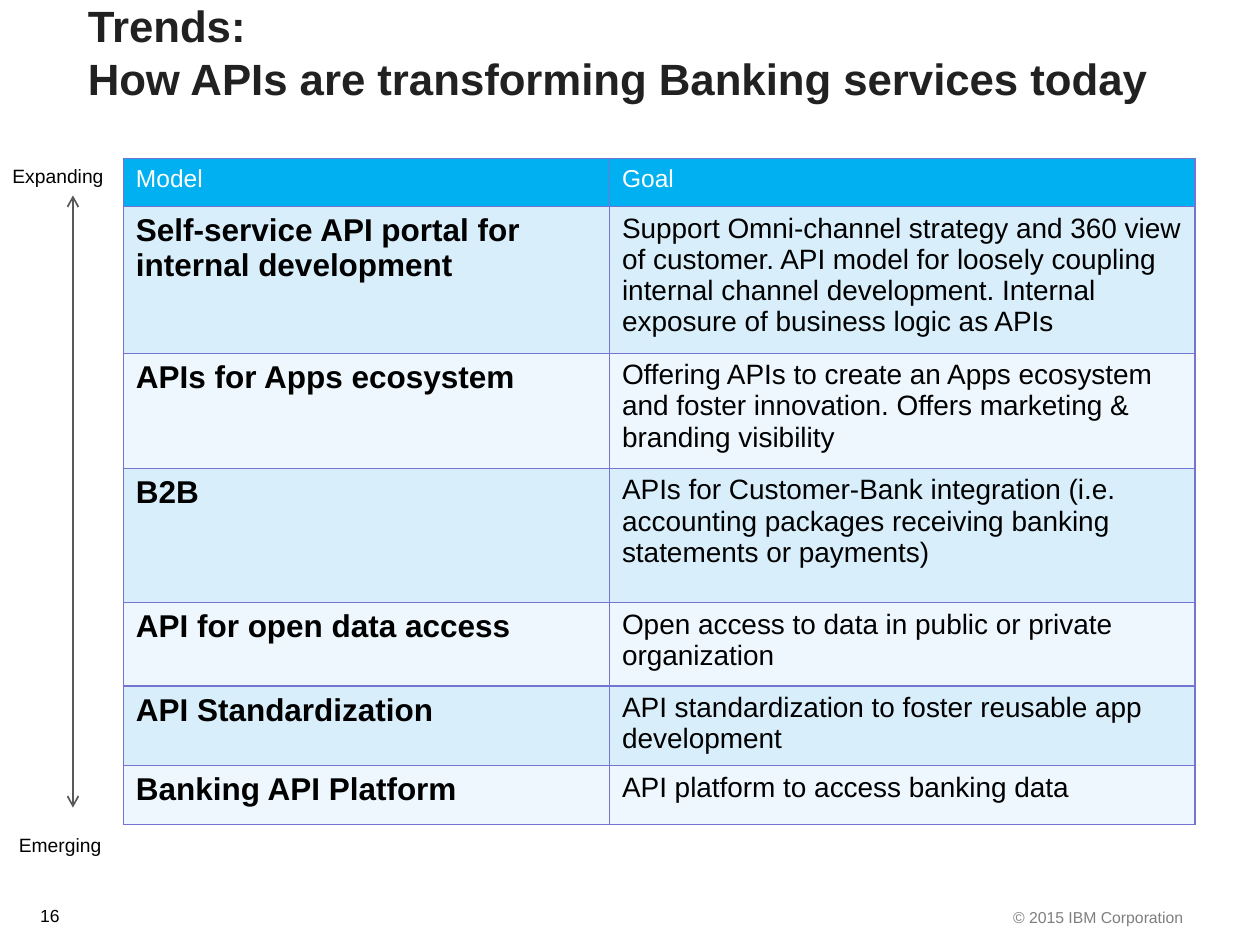
from dataclasses import dataclass
from lxml.etree import SubElement
from pptx import Presentation
from pptx.dml.color import RGBColor
from pptx.enum.shapes import MSO_CONNECTOR
from pptx.enum.text import MSO_ANCHOR, PP_ALIGN
from pptx.oxml import parse_xml
from pptx.oxml.ns import nsdecls, qn
from pptx.util import Cm, Pt


@dataclass(frozen=True)
class Theme:
    font: str = "Arial"
    title: str = "212121"
    text: str = "000000"
    muted: str = "7F7F7F"
    header_text: str = "FFFFFF"
    header_fill: str = "00B0F0"
    bands: tuple = ("D9EEFB", "EDF7FD")
    border: str = "7575D1"
    arrow: str = "595959"
    title_pt: int = 25
    model_pt: int = 18
    goal_pt: int = 16
    header_pt: int = 14
    label_pt: int = 11
    number_pt: int = 10
    footer_pt: int = 9


T = Theme()

TITLE = ("Trends:", "How APIs are transforming Banking services today")
HEADER = ("Model", "Goal")
# model, goal, row height in cm
ROWS = [
    ("Self-service API portal for internal development",
     "Support Omni-channel strategy and 360 view of customer. API model for loosely "
     "coupling internal channel development. Internal exposure of business logic as APIs", 2.96),
    ("APIs for Apps ecosystem",
     "Offering APIs to create an Apps ecosystem and foster innovation. "
     "Offers marketing & branding visibility", 2.32),
    ("B2B",
     "APIs for Customer-Bank integration (i.e. accounting packages receiving banking "
     "statements or payments)", 2.71),
    ("API for open data access",
     "Open access to data in public or private organization", 1.68),
    ("API Standardization",
     "API standardization to foster reusable app development", 1.6),
    ("Banking API Platform", "API platform to access banking data", 1.19),
]
HEADER_HEIGHT = 0.96
COLUMNS = (9.8, 11.8)
TABLE_LEFT, TABLE_TOP = 2.49, 3.2
ARROW_X, ARROW_TOP, ARROW_BOTTOM = 1.47, 3.94, 16.28
# text, box in cm, size, colour, alignment, wraps
LABELS = [
    ("16", (0.46, 18.11, 0.99, 0.81), T.number_pt, T.text, PP_ALIGN.RIGHT, True),
    ("© 2015 IBM Corporation", (19.76, 18.16, 4.34, 0.64), T.footer_pt, T.muted,
     PP_ALIGN.RIGHT, True),
    ("Emerging", (0.13, 16.66, 2.18, 0.71), T.label_pt, T.text, PP_ALIGN.LEFT, False),
    ("Expanding", (0, 3.18, 2.36, 0.74), T.label_pt, T.text, PP_ALIGN.LEFT, False),
]


def style(p, size, color, bold=False, align=PP_ALIGN.LEFT):
    p.alignment = align
    p.space_before = Pt(0)
    p.font.name, p.font.size, p.font.bold = T.font, Pt(size), bold
    p.font.color.rgb = RGBColor.from_string(color)


def set_insets(tf):
    tf.margin_left = tf.margin_right = Cm(0.25)
    tf.margin_top = tf.margin_bottom = Cm(0.13)
    tf.vertical_anchor = MSO_ANCHOR.TOP


def add_title(s):
    title = s.shapes.title
    title.left, title.top, title.width, title.height = map(Cm, (1.52, -0.15, 25.98, 2.39))
    tf = title.text_frame
    set_insets(tf)
    tf.word_wrap = True
    tf.text = "\n".join(TITLE)
    for p in tf.paragraphs:
        style(p, T.title_pt, T.title, bold=True)


def add_label(s, text, box, size, color, align, wraps):
    tf = s.shapes.add_textbox(*map(Cm, box)).text_frame
    set_insets(tf)
    tf.word_wrap = wraps
    tf.text = text
    style(tf.paragraphs[0], size, color, align=align)


def fill_cell(cell, text, size, color, fill, bold=False):
    cell.text = text
    set_insets(cell)
    style(cell.text_frame.paragraphs[0], size, color, bold)
    props = cell._tc.get_or_add_tcPr()
    for side in ("lnL", "lnR", "lnT", "lnB"):
        props.append(parse_xml(
            f'<a:{side} {nsdecls("a")} w="{Pt(0.75)}"><a:solidFill>'
            f'<a:srgbClr val="{T.border}"/></a:solidFill></a:{side}>'))
    cell.fill.solid()
    cell.fill.fore_color.rgb = RGBColor.from_string(fill)


def add_model_table(s):
    heights = [HEADER_HEIGHT] + [height for _, _, height in ROWS]
    table = s.shapes.add_table(
        len(heights), len(COLUMNS), Cm(TABLE_LEFT), Cm(TABLE_TOP),
        Cm(sum(COLUMNS)), Cm(sum(heights))).table
    for column, width in zip(table.columns, COLUMNS):
        column.width = Cm(width)
    for row, height in zip(table.rows, heights):
        row.height = Cm(height)
    for i, text in enumerate(HEADER):
        fill_cell(table.cell(0, i), text, T.header_pt, T.header_text, T.header_fill)
    for i, (model, goal, _) in enumerate(ROWS):
        band = T.bands[i % 2]
        fill_cell(table.cell(i + 1, 0), model, T.model_pt, T.text, band, bold=True)
        fill_cell(table.cell(i + 1, 1), goal, T.goal_pt, T.text, band)


def add_maturity_arrow(s):
    arrow = s.shapes.add_connector(
        MSO_CONNECTOR.STRAIGHT, Cm(ARROW_X), Cm(ARROW_TOP), Cm(ARROW_X), Cm(ARROW_BOTTOM))
    arrow.line.width = Pt(1)
    arrow.line.color.rgb = RGBColor.from_string(T.arrow)
    line = arrow.line._get_or_add_ln()
    for end in ("a:headEnd", "a:tailEnd"):
        SubElement(line, qn(end), type="arrow")
    SubElement(arrow._element.spPr, qn("a:effectLst"))


def main():
    prs = Presentation()
    prs.slide_width, prs.slide_height = Cm(25.4), Cm(19.05)
    s = prs.slides.add_slide(prs.slide_layouts[5])
    add_title(s)
    add_model_table(s)
    add_maturity_arrow(s)
    for label in LABELS:
        add_label(s, *label)
    prs.save("out.pptx")


if __name__ == "__main__":
    main()
